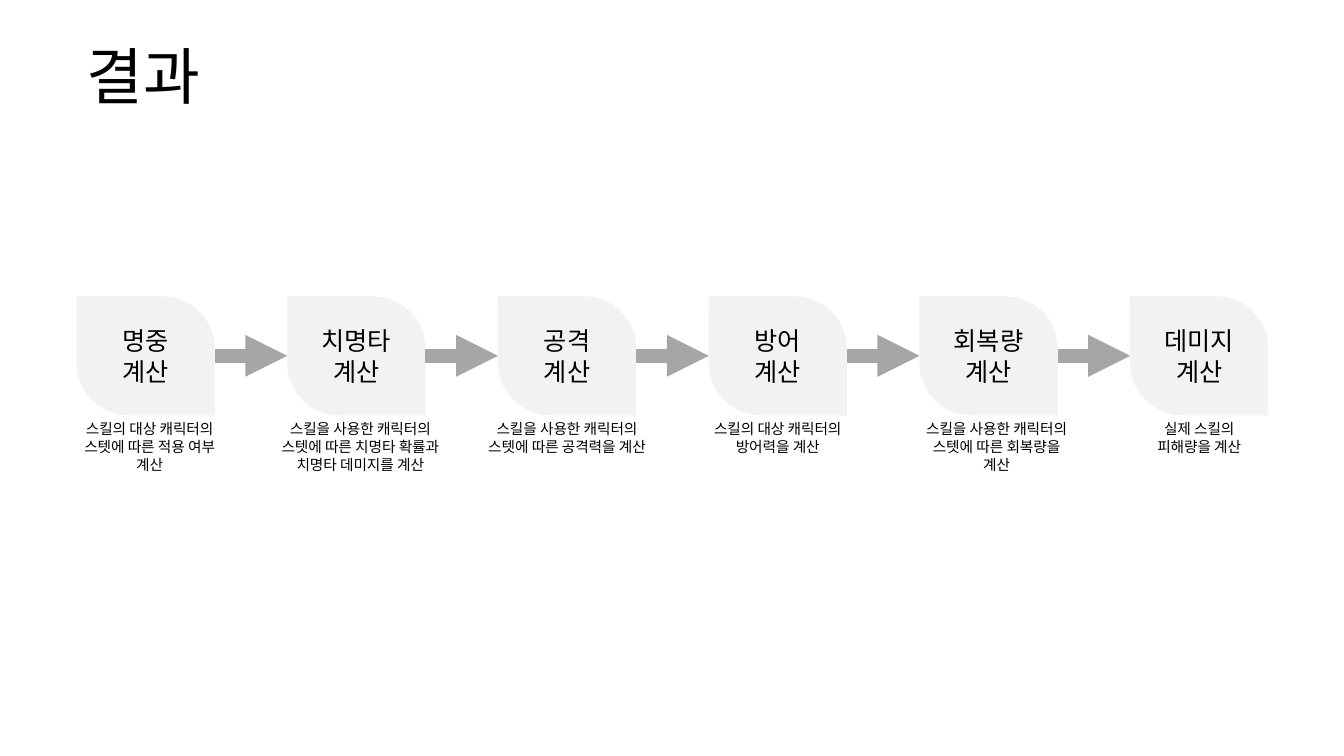
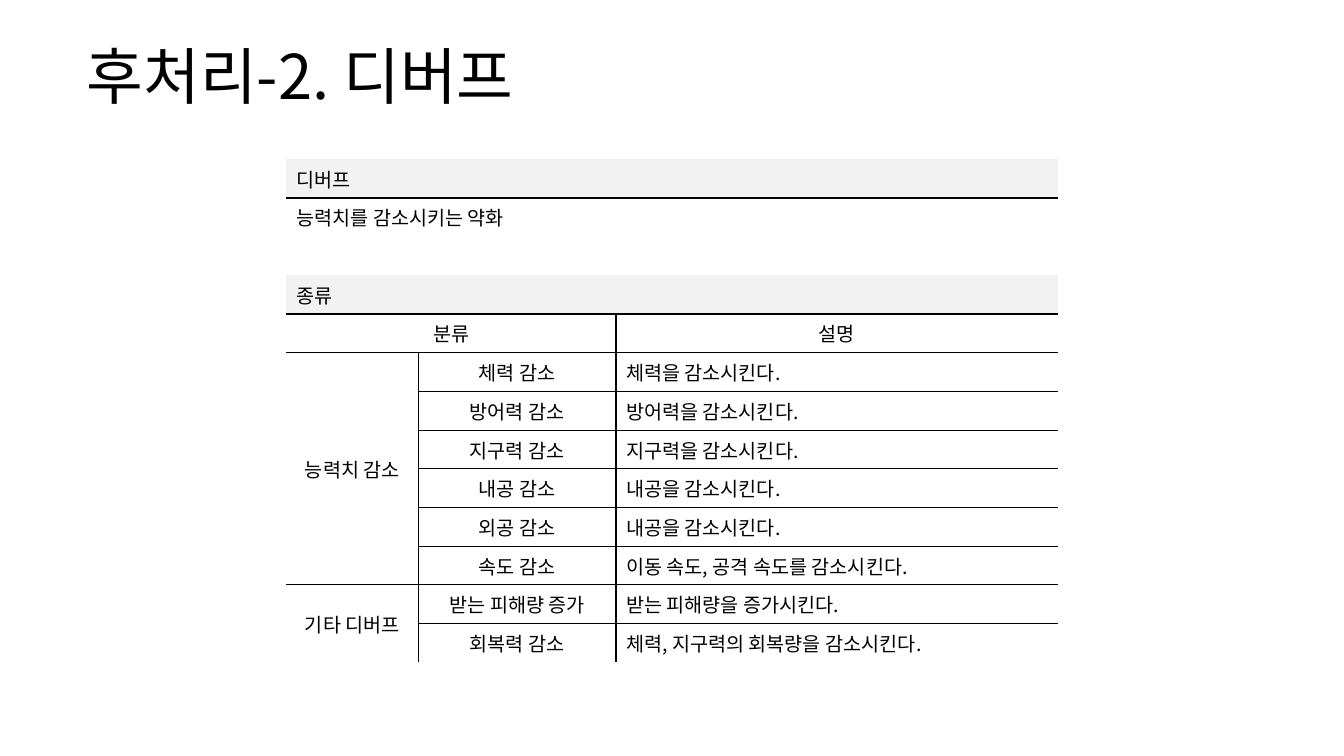
from lxml.etree import SubElement
from pptx import Presentation
from pptx.dml.color import RGBColor
from pptx.enum.shapes import MSO_CONNECTOR, MSO_SHAPE
from pptx.enum.text import MSO_ANCHOR, MSO_AUTO_SIZE, PP_ALIGN
from pptx.oxml.ns import qn
from pptx.util import Inches, Pt

FONT = "Noto Sans CJK KR"
BLACK, PALE, GRAY = "000000", "F2F2F2", "A6A6A6"

FLOW_TITLE = "결과"
STEPS = [
    ("명중", ["스킬의 대상 캐릭터의", "스텟에 따른 적용 여부", "계산"], 0.04),
    ("치명타", ["스킬을 사용한 캐릭터의", "스텟에 따른 치명타 확률과", "치명타 데미지를 계산"], 0.04),
    ("공격", ["스킬을 사용한 캐릭터의", "스텟에 따른 공격력을 계산"], 0),
    ("방어", ["스킬의 대상 캐릭터의", "방어력을 계산"], 0),
    ("회복량", ["스킬을 사용한 캐릭터의", "스텟에 따른 회복량을", "계산"], 0.08),
    ("데미지", ["실제 스킬의", "피해량을 계산"], 0),
]

DEBUFF_TITLE = "후처리-2. 디버프"
COLUMNS = [1.31, 1.96, 4.38]
ROWS = [
    ("디버프", "", ""),
    ("능력치를 감소시키는 약화", "", ""),
    ("", "", ""),
    ("종류", "", ""),
    ("분류", "", "설명"),
    ("능력치 감소", "체력 감소", "체력을 감소시킨다."),
    ("", "방어력 감소", "방어력을 감소시킨다."),
    ("", "지구력 감소", "지구력을 감소시킨다."),
    ("", "내공 감소", "내공을 감소시킨다."),
    ("", "외공 감소", "내공을 감소시킨다."),
    ("", "속도 감소", "이동 속도, 공격 속도를 감소시킨다."),
    ("기타 디버프", "받는 피해량 증가", "받는 피해량을 증가시킨다."),
    ("", "회복력 감소", "체력, 지구력의 회복량을 감소시킨다."),
]
MERGES = [(0, 0, 0, 2), (1, 0, 1, 2), (2, 0, 2, 2), (3, 0, 3, 2),
          (4, 0, 4, 1), (5, 0, 10, 0), (11, 0, 12, 0)]
BANDS = (0, 3)
HEAD = 4
GROUP_ENDS = (0, 3, 4, 10)


def rgb(color):
    return RGBColor.from_string(color)


def write(tf, lines, size, align=PP_ALIGN.CENTER):
    for i, line in enumerate(lines):
        p = tf.add_paragraph() if i else tf.paragraphs[0]
        p.text = line
        p.alignment = align
        p.font.size = Pt(size)
        p.font.name = FONT
        p.font.color.rgb = rgb(BLACK)
        SubElement(p.font._element, qn("a:ea"), typeface=FONT)


def add_titled_slide(prs, text):
    slide = prs.slides.add_slide(prs.slide_layouts[5])
    title = slide.shapes.title
    title.left, title.top = Inches(0.76), Inches(0.32)
    title.width, title.height = Inches(11.81), Inches(0.94)
    tf = title.text_frame
    tf.auto_size = MSO_AUTO_SIZE.NONE
    tf.vertical_anchor = MSO_ANCHOR.MIDDLE
    write(tf, [text], 44, PP_ALIGN.LEFT)
    tf.paragraphs[0].line_spacing = 0.9
    return slide


def add_step(slide, left, top, width, height, name):
    sp = slide.shapes.add_shape(MSO_SHAPE.ROUND_2_DIAG_RECTANGLE, Inches(left),
                                Inches(top), Inches(width), Inches(height))
    sp.adjustments[0], sp.adjustments[1] = 0, 0.44
    sp.shadow.inherit = False
    sp.fill.solid()
    sp.fill.fore_color.rgb = rgb(PALE)
    sp.line.fill.background()
    sp.text_frame.vertical_anchor = MSO_ANCHOR.MIDDLE
    write(sp.text_frame, [name, "계산"], 18)


def add_caption(slide, center, top, lines):
    width = 2.16
    box = slide.shapes.add_textbox(Inches(center - width / 2), Inches(top),
                                   Inches(width), Inches(0.1 + 0.18 * len(lines)))
    box.text_frame.word_wrap = True
    write(box.text_frame, lines, 10.5)


def add_arrow(slide, start, end, y):
    arrow = slide.shapes.add_connector(MSO_CONNECTOR.STRAIGHT, Inches(start),
                                       Inches(y), Inches(end), Inches(y))
    arrow.line.color.rgb = rgb(GRAY)
    arrow.line.width = Pt(10)
    SubElement(arrow.line._get_or_add_ln(), qn("a:tailEnd"), type="triangle")
    SubElement(arrow._element.spPr, qn("a:effectLst"))


def build_flow(prs):
    slide = add_titled_slide(prs, FLOW_TITLE)
    first, top, width, height, pitch = 0.76, 2.94, 1.37, 1.18, 2.09
    for i, (name, lines, shift) in enumerate(STEPS):
        left = first + i * pitch
        add_step(slide, left, top, width, height, name)
        add_caption(slide, left + width / 2 + shift, top + height, lines)
        if i:
            add_arrow(slide, left - pitch + width, left, top + height / 2)


def ruled_right(row, col):
    return col == 1 and row >= HEAD or col == 0 and row > HEAD


def ruled_below(row, col):
    return row in GROUP_ENDS or col > 0 and HEAD < row < len(ROWS) - 1


def set_borders(cell, row, col):
    last_row = row + max(cell.span_height, 1) - 1
    last_col = col + max(cell.span_width, 1) - 1
    sides = {"L": ruled_right(row, col - 1), "R": ruled_right(row, last_col),
             "T": ruled_below(row - 1, col), "B": ruled_below(last_row, col)}
    tcPr = cell._tc.get_or_add_tcPr()
    for side, ruled in sides.items():
        ln = SubElement(tcPr, qn("a:ln" + side), w=str(Pt(1)))
        if ruled:
            fill = SubElement(ln, qn("a:solidFill"))
            SubElement(fill, qn("a:srgbClr"), val=BLACK)
        else:
            SubElement(ln, qn("a:noFill"))


def build_debuffs(prs):
    slide = add_titled_slide(prs, DEBUFF_TITLE)
    row_height = 0.38
    table = slide.shapes.add_table(
        len(ROWS), len(COLUMNS), Inches(2.84), Inches(1.58),
        Inches(sum(COLUMNS)), Inches(row_height * len(ROWS))).table
    table.first_row = table.horz_banding = False
    for column, width in zip(table.columns, COLUMNS):
        column.width = Inches(width)
    for r1, c1, r2, c2 in MERGES:
        table.cell(r1, c1).merge(table.cell(r2, c2))
    for r, texts in enumerate(ROWS):
        table.rows[r].height = Inches(row_height)
        for c, text in enumerate(texts):
            cell = table.cell(r, c)
            centered = r == HEAD or r > HEAD and c < 2
            write(cell.text_frame, [text], 14,
                  PP_ALIGN.CENTER if centered else PP_ALIGN.LEFT)
            cell.vertical_anchor = MSO_ANCHOR.MIDDLE
            set_borders(cell, r, c)
            if r in BANDS:
                cell.fill.solid()
                cell.fill.fore_color.rgb = rgb(PALE)
            else:
                cell.fill.background()


def main():
    prs = Presentation()
    prs.slide_width, prs.slide_height = Inches(13.33), Inches(7.5)
    build_flow(prs)
    build_debuffs(prs)
    prs.save("out.pptx")


if __name__ == "__main__":
    main()
